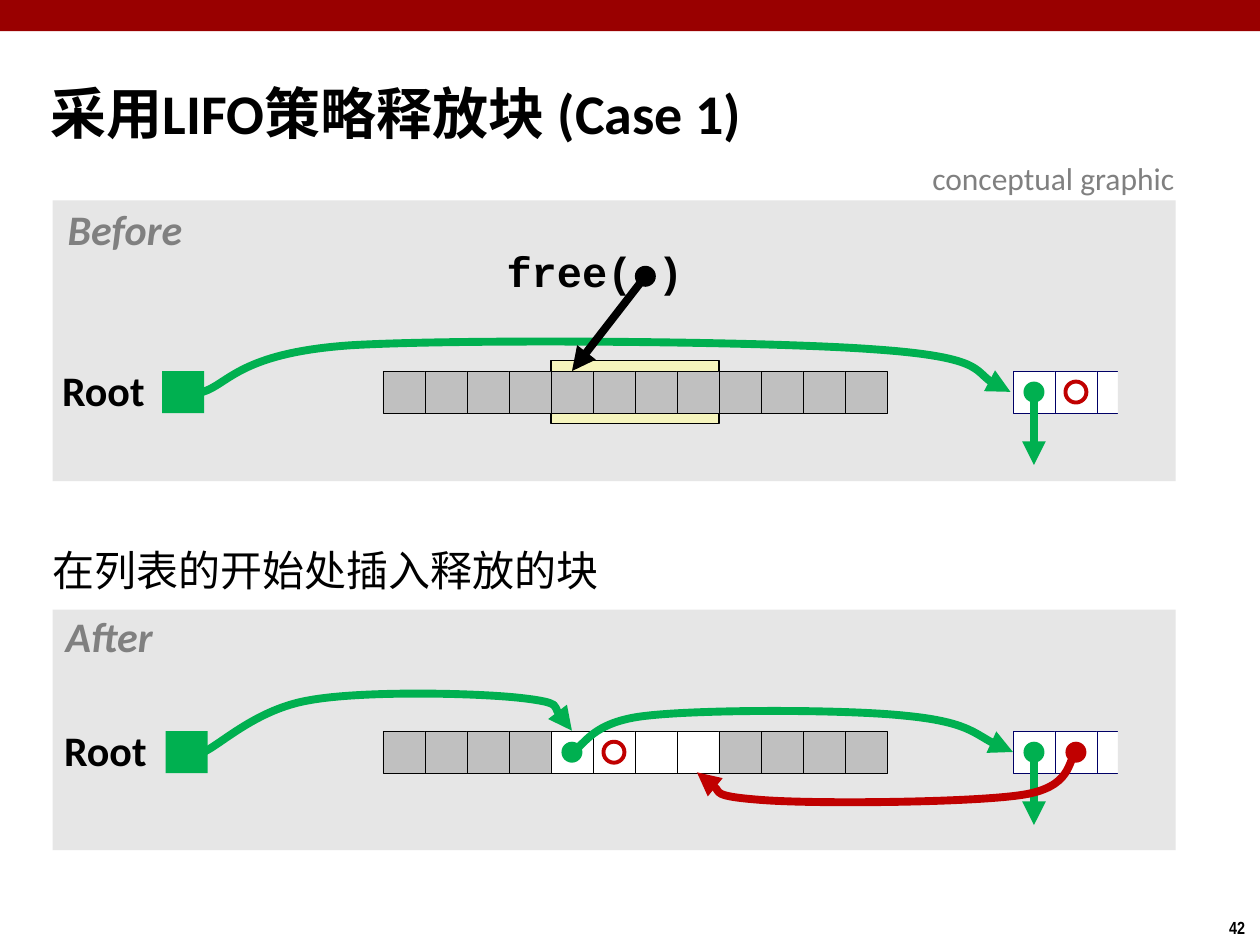
"""Build the slide on freeing a block under a LIFO policy."""
import dataclasses
import typing

import lxml.etree
import pptx
import pptx.dml.color
import pptx.enum.shapes
import pptx.enum.text
import pptx.oxml.ns
import pptx.util

Cm, Pt, qn = pptx.util.Cm, pptx.util.Pt, pptx.oxml.ns.qn
Shapes = pptx.enum.shapes.MSO_SHAPE
Align = pptx.enum.text.PP_ALIGN
Point = tuple[float, float]


@dataclasses.dataclass(frozen=True)
class Theme:
    """Colours, fonts, type sizes and line widths."""
    banner: str = "990000"
    panel: str = "E6E6E6"
    highlight: str = "F6F5BD"
    used: str = "C0C0C0"
    free: str = "FFFFFF"
    tail_edge: str = "000066"
    forward: str = "00B050"
    backward: str = "C00000"
    ink: str = "000000"
    muted: str = "808080"
    sans: str = "Calibri"
    mono: str = "Courier New"
    narrow: str = "Arial Narrow"
    title_size: float = 32
    text_size: float = 24
    note_size: float = 18
    number_size: float = 10
    arrow: float = 4.5
    ring: float = 2.25
    hairline: float = 0.25
    outline: float = 0.75


THEME = Theme()


@dataclasses.dataclass(frozen=True)
class Label:
    """A line of text with its place and format."""
    text: str
    left: float
    top: float
    width: float
    height: float = 1.19
    size: float = THEME.text_size
    font: str = THEME.sans
    color: str = THEME.ink
    bold: bool = True
    italic: bool = False
    align: Align = Align.CENTER
    spacing: float = 0.9
    inset: float = 0.13
    top_inset: float = 0.13


@dataclasses.dataclass(frozen=True)
class Curve:
    """A curved arrow through cubic control points."""
    color: str
    points: tuple[Point, ...]


@dataclasses.dataclass(frozen=True)
class Stage:
    """The heap at one moment."""
    caption: Label
    panel_top: float
    panel_height: float
    row_top: float
    root_left: float
    root_label: Label
    freed_fill: str
    curves: tuple[Curve, ...]


CELL = 10.16 / 12
ROW_LEFT, ROW_CELLS, FREED = 7.72, 12, range(4, 8)
TAIL_LEFT, TAIL_CELLS = 20.42, 3
PANEL_LEFT, PANEL_WIDTH = 1.06, 22.64
OVERHANG = 0.21

BEFORE = Stage(
    Label("Before", 1.21, 4.08, 2.62, color=THEME.muted, italic=True),
    4.04, 5.66, 7.48, 3.27, Label("Root", 1.12, 7.34, 1.93), THEME.used,
    (Curve(THEME.forward, (
        (4.09, 7.9), (4.6, 7.75), (4.83, 7.11), (7.09, 6.96), (9.32, 6.83),
        (15.37, 6.88), (17.58, 7.04), (19.79, 7.19), (19.79, 7.72), (20.37, 7.9))),),
)
AFTER = Stage(
    Label("After", 1.17, 12.29, 2.06, color=THEME.muted, italic=True),
    12.29, 4.85, 14.74, 3.34, Label("Root", 1.16, 14.6, 1.93), THEME.free,
    (
        Curve(THEME.forward, (
            (11.53, 15.16), (11.79, 15.04), (11.91, 14.55), (13.03, 14.43), (14.15, 14.3),
            (17.04, 14.3), (18.26, 14.43), (19.48, 14.55), (19.96, 15.01), (20.42, 15.16))),
        Curve(THEME.backward, (
            (21.69, 15.19), (21.51, 15.32), (21.64, 15.88), (20.57, 16.03), (19.53, 16.18),
            (16.48, 16.21), (15.39, 16.13), (14.3, 16.05), (14.33, 15.7), (14.05, 15.57))),
        Curve(THEME.forward, (
            (4.11, 15.16), (4.47, 14.99), (5.18, 14.3), (6.22, 14.12), (7.29, 13.92),
            (9.6, 13.97), (10.49, 14.07), (11.38, 14.17), (11.33, 14.58), (11.53, 14.73))),
    ),
)


def rgb(color: str) -> pptx.dml.color.RGBColor:
    """Return the colour object for a hex value."""
    return pptx.dml.color.RGBColor.from_string(color)


def draw_shape(shapes: typing.Any, kind: Shapes, left: float, top: float, width: float,
               height: float, fill: str = "", edge: str = "", weight: float = 0) -> None:
    """Draw a preset shape; an empty colour means no fill or no line."""
    shape = shapes.add_shape(kind, Cm(left), Cm(top), Cm(width), Cm(height))
    shape.shadow.inherit = False
    for part, color in ((shape.fill, fill), (shape.line.fill, edge)):
        if color:
            part.solid()
            part.fore_color.rgb = rgb(color)
        else:
            part.background()
    if edge:
        shape.line.width = Pt(weight)


def draw_dot(shapes: typing.Any, center: Point, fill: str = "", edge: str = "") -> None:
    """Draw a pointer dot, or a ring when only an edge is given."""
    size = CELL / 2
    draw_shape(shapes, Shapes.OVAL, center[0] - size / 2, center[1] - size / 2, size, size,
               fill, edge, THEME.ring)


def style_arrow(arrow: typing.Any, color: str) -> None:
    """Give a line its colour, weight and arrowhead, without a shadow."""
    arrow.line.color.rgb = rgb(color)
    arrow.line.width = Pt(THEME.arrow)
    properties = arrow.line._get_or_add_ln()
    lxml.etree.SubElement(properties, qn("a:tailEnd"), type="triangle")
    lxml.etree.SubElement(properties.getparent(), qn("a:effectLst"))


def draw_arrow(shapes: typing.Any, start: Point, end: Point, color: str) -> None:
    """Draw a straight arrow."""
    ends = [Cm(value) for value in (*start, *end)]
    style_arrow(shapes.add_connector(pptx.enum.shapes.MSO_CONNECTOR.STRAIGHT, *ends), color)


def draw_curve(shapes: typing.Any, curve: Curve) -> None:
    """Draw an arrow along cubic segments, three points to each."""
    start, *rest = [(Cm(x), Cm(y)) for x, y in curve.points]
    builder = shapes.build_freeform(*start)
    builder.add_line_segments(rest, close=False)
    shape = builder.convert_to_shape()
    outline = next(shape._element.iter(qn("a:path")))
    outline.set("fill", "none")
    segments = outline.findall(qn("a:lnTo"))
    for first in range(0, len(segments), 3):
        cubic = lxml.etree.SubElement(outline, qn("a:cubicBezTo"))
        for segment in segments[first:first + 3]:
            cubic.append(segment[0])
            outline.remove(segment)
    shape.fill.background()
    style_arrow(shape, curve.color)


def style_text(frame: typing.Any, label: Label) -> None:
    """Write a label into a text frame and format it."""
    frame.text = label.text
    frame.margin_left = frame.margin_right = Cm(label.inset)
    frame.margin_top = Cm(label.top_inset)
    frame.auto_size = pptx.enum.text.MSO_AUTO_SIZE.NONE
    paragraph = frame.paragraphs[0]
    paragraph.alignment = label.align
    paragraph.line_spacing = label.spacing
    paragraph.space_before = Pt(0)
    font = paragraph.runs[0].font
    font.name, font.size, font.bold, font.italic = (
        label.font, Pt(label.size), label.bold, label.italic)
    font.color.rgb = rgb(label.color)


def draw_label(shapes: typing.Any, label: Label) -> None:
    """Draw an unwrapped text box."""
    box = shapes.add_textbox(Cm(label.left), Cm(label.top), Cm(label.width), Cm(label.height))
    style_text(box.text_frame, label)
    box.text_frame.word_wrap = False


def fill_placeholder(placeholder: typing.Any, label: Label) -> None:
    """Move a placeholder and give it unbulleted text."""
    placeholder.left, placeholder.top = Cm(label.left), Cm(label.top)
    placeholder.width, placeholder.height = Cm(label.width), Cm(label.height)
    style_text(placeholder.text_frame, label)
    properties = placeholder.text_frame.paragraphs[0]._p.get_or_add_pPr()
    properties.set("marL", "0")
    properties.set("indent", "0")
    lxml.etree.SubElement(properties, qn("a:buNone"))


def cell_center(left: float, index: int, top: float) -> Point:
    """Return the centre of a memory cell."""
    return left + (index + 0.5) * CELL, top + CELL / 2


def draw_stage(shapes: typing.Any, stage: Stage) -> None:
    """Draw the heap and its list pointers at one moment."""
    box, top, is_before = Shapes.RECTANGLE, stage.row_top, stage is BEFORE
    draw_shape(shapes, box, PANEL_LEFT, stage.panel_top, PANEL_WIDTH, stage.panel_height, THEME.panel)
    if is_before:
        draw_shape(shapes, box, ROW_LEFT + FREED[0] * CELL, top - OVERHANG, len(FREED) * CELL,
                   CELL + 2 * OVERHANG, THEME.highlight, THEME.ink, THEME.outline)
        draw_curve(shapes, stage.curves[0])
    for index in range(ROW_CELLS):
        draw_shape(shapes, box, ROW_LEFT + index * CELL, top, CELL, CELL,
                   stage.freed_fill if index in FREED else THEME.used, THEME.ink, THEME.hairline)
    draw_shape(shapes, box, stage.root_left, top, CELL, CELL, THEME.forward)
    tail = shapes.add_group_shape().shapes
    for index in range(TAIL_CELLS):
        draw_shape(tail, box, TAIL_LEFT + index * CELL, top, CELL, CELL,
                   THEME.free, THEME.tail_edge, THEME.hairline)
    draw_shape(tail, box, TAIL_LEFT + 2.5 * CELL, top - OVERHANG, CELL,
               CELL + 2 * OVERHANG, THEME.panel)
    link = cell_center(TAIL_LEFT, 0, top)
    draw_dot(shapes, link, THEME.forward)
    draw_arrow(shapes, link, (link[0], link[1] + 1.47), THEME.forward)
    previous = cell_center(TAIL_LEFT, 1, top)
    if is_before:
        draw_dot(shapes, previous, edge=THEME.backward)
    else:
        draw_dot(shapes, previous, THEME.backward)
        draw_dot(shapes, cell_center(ROW_LEFT, FREED[0], top), THEME.forward)
        draw_dot(shapes, cell_center(ROW_LEFT, FREED[1], top), edge=THEME.backward)
        for curve in stage.curves:
            draw_curve(shapes, curve)
    draw_label(shapes, stage.root_label)
    draw_label(shapes, stage.caption)


def main() -> None:
    """Build and save the presentation."""
    deck = pptx.Presentation()
    deck.slide_width, deck.slide_height = Cm(25.4), Cm(19.05)
    slide = deck.slides.add_slide(deck.slide_layouts[1])
    shapes = slide.shapes
    fill_placeholder(shapes.title, Label(
        "采用LIFO策略释放块 (Case 1)", 0.76, 1.27, 24.21, 2.18, THEME.title_size,
        align=Align.LEFT, spacing=0.87, inset=0.26))
    fill_placeholder(slide.placeholders[1], Label(
        "在列表的开始处插入释放的块", 0.81, 10.54, 23.09, 1.55,
        bold=False, align=Align.LEFT, spacing=0.95, inset=0.25, top_inset=0.52))
    draw_shape(shapes, Shapes.RECTANGLE, 0, 0, 25.4, 0.63, THEME.banner)
    for stage in (BEFORE, AFTER):
        draw_stage(shapes, stage)
    draw_label(shapes, Label("free( )", 10.07, 4.93, 3.84, font=THEME.mono))
    argument = (13.01, 5.57)
    draw_dot(shapes, argument, THEME.ink)
    draw_arrow(shapes, argument, (11.53, BEFORE.row_top), THEME.ink)
    draw_label(shapes, Label("conceptual graphic", 18.48, 3.07, 5.51, 1.02, THEME.note_size,
                             color=THEME.muted, bold=False, spacing=1))
    draw_label(shapes, Label("42", 24.51, 18.36, 0.86, 0.69, THEME.number_size,
                             THEME.narrow, spacing=1))
    deck.save("out.pptx")


if __name__ == "__main__":
    main()
